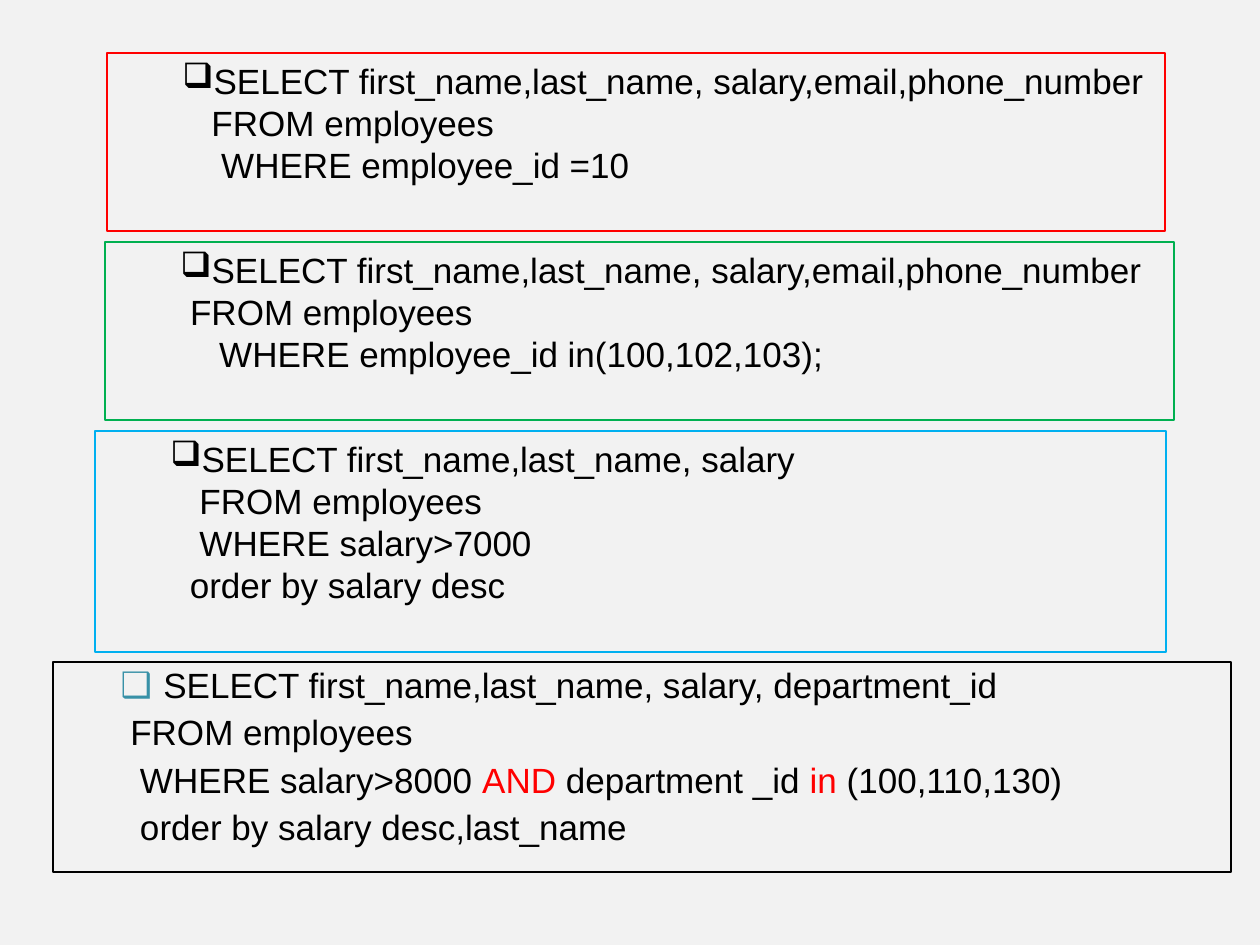
from lxml import etree
from pptx import Presentation
from pptx.dml.color import RGBColor
from pptx.enum.text import MSO_ANCHOR, MSO_AUTO_SIZE, PP_ALIGN
from pptx.oxml.ns import qn
from pptx.util import Emu, Inches, Pt

TOP = MSO_ANCHOR.TOP
NO_AUTOFIT = MSO_AUTO_SIZE.NONE
LEFT = PP_ALIGN.LEFT
PX_PER_INCH = 126
BLACK, RED = "000000", "FF0000"

# (box in px, border colour, lines)
QUERIES = [
    ((107, 53, 1058, 178), RED, [
        "SELECT first_name,last_name, salary,email,phone_number",
        "   FROM employees",
        "    WHERE employee_id =10",
    ]),
    ((105, 242, 1069, 178), "00B050", [
        "SELECT first_name,last_name, salary,email,phone_number",
        " FROM employees",
        "    WHERE employee_id in(100,102,103);",
    ]),
    ((95, 431, 1071, 221), "00B0F0", [
        "SELECT first_name,last_name, salary",
        "   FROM employees",
        "   WHERE salary>7000",
        "  order by salary desc",
    ]),
]

# Each line is a list of (text, colour) pieces
SORTED_QUERY = [
    [(" SELECT first_name,last_name, salary, department_id", BLACK)],
    [(" FROM employees", BLACK)],
    [("  WHERE salary>8000 ", BLACK), ("AND", RED), (" department _id ", BLACK),
     ("in", RED), (" (100,110,130)", BLACK)],
    [("  order by salary desc,last_name", BLACK)],
]


def px(length):
    return Emu(round(length * Inches(1) / PX_PER_INCH))


def color(hex_value):
    return RGBColor.from_string(hex_value)


def place(shape, box):
    shape.left, shape.top, shape.width, shape.height = map(px, box)


def outline(shape, hex_value):
    shape.line.color.rgb = color(hex_value)
    shape.line.width = Pt(1.5)


def set_indent_and_bullet(paragraph, margin, indent, bullet, bullet_color):
    properties = paragraph._p.get_or_add_pPr()
    properties.set("marL", str(px(margin)))
    properties.set("indent", str(px(indent)))
    if not bullet:
        etree.SubElement(properties, qn("a:buNone"))
        return
    fill = etree.SubElement(properties, qn("a:buClr"))
    etree.SubElement(fill, qn("a:srgbClr"), val=bullet_color)
    etree.SubElement(properties, qn("a:buChar"), char="❑")


def write_lines(frame, lines, margin, indent, bullet_color):
    """Fill a frame with code lines, the first of them bulleted."""
    frame.word_wrap = True
    frame.auto_size = NO_AUTOFIT
    frame.vertical_anchor = TOP
    for number, pieces in enumerate(lines):
        paragraph = frame.add_paragraph() if number else frame.paragraphs[0]
        paragraph.alignment = LEFT
        set_indent_and_bullet(paragraph, margin, indent, number == 0, bullet_color)
        paragraph.font.name = "Arial"
        paragraph.font.size = Pt(20)
        for text, hex_value in pieces:
            run = paragraph.add_run()
            run.text = text
            run.font.color.rgb = color(hex_value)


def add_query(slide, box, border, lines):
    query = slide.shapes.add_textbox(*map(px, box))
    outline(query, border)
    write_lines(query.text_frame, [[(line, BLACK)] for line in lines], 63, 0, BLACK)


def fill_sorted_query(body, box):
    place(body, box)
    outline(body, BLACK)
    write_lines(body.text_frame, SORTED_QUERY, 88, -33, "3891A7")
    for number, paragraph in enumerate(body.text_frame.paragraphs):
        paragraph.line_spacing = 0.9
        paragraph.space_before = Pt(5.5 if number else 0)


def main():
    presentation = Presentation()
    presentation.slide_width, presentation.slide_height = Inches(10), Inches(7.5)
    slide = presentation.slides.add_slide(presentation.slide_layouts[1])
    slide.background.fill.solid()
    slide.background.fill.fore_color.rgb = color("F2F2F2")
    title = slide.shapes.title
    title.element.getparent().remove(title.element)

    fill_sorted_query(slide.placeholders[1], (53, 662, 1178, 210))
    for box, border, lines in QUERIES:
        add_query(slide, box, border, lines)
    presentation.save("out.pptx")


if __name__ == "__main__":
    main()
